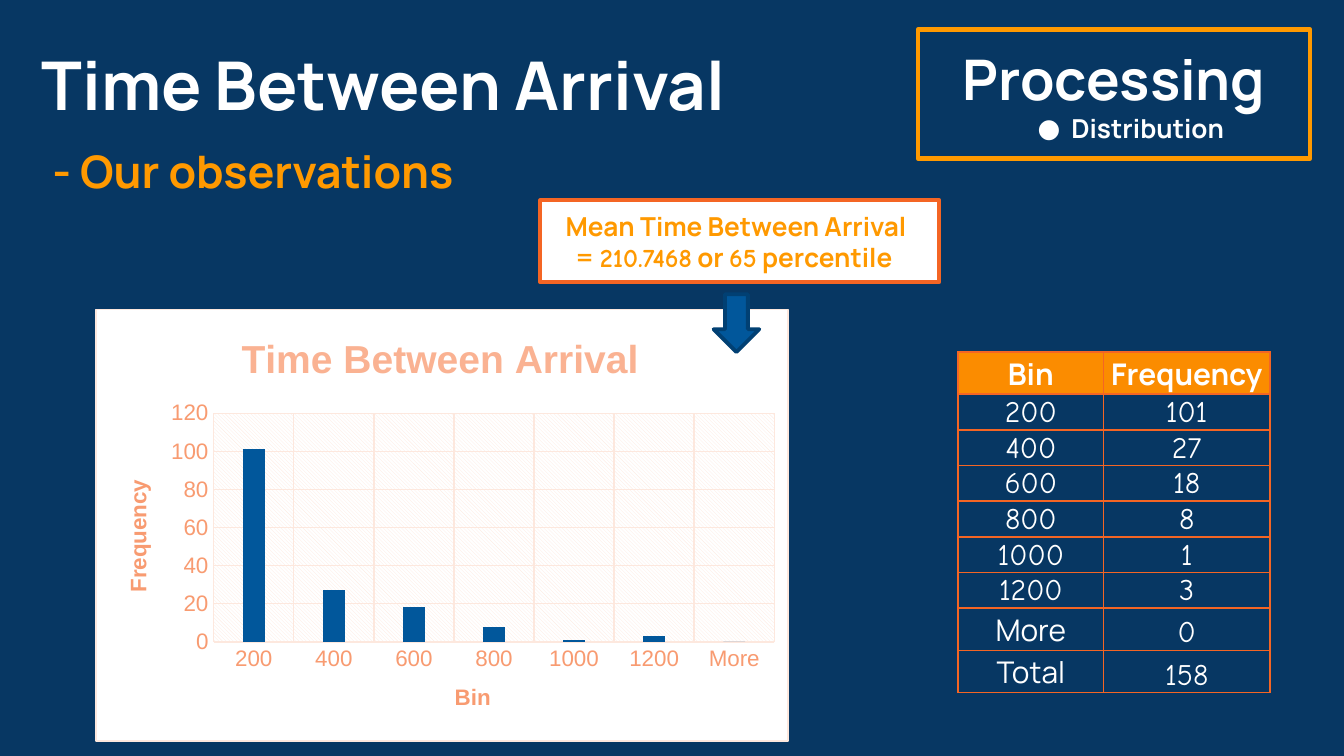
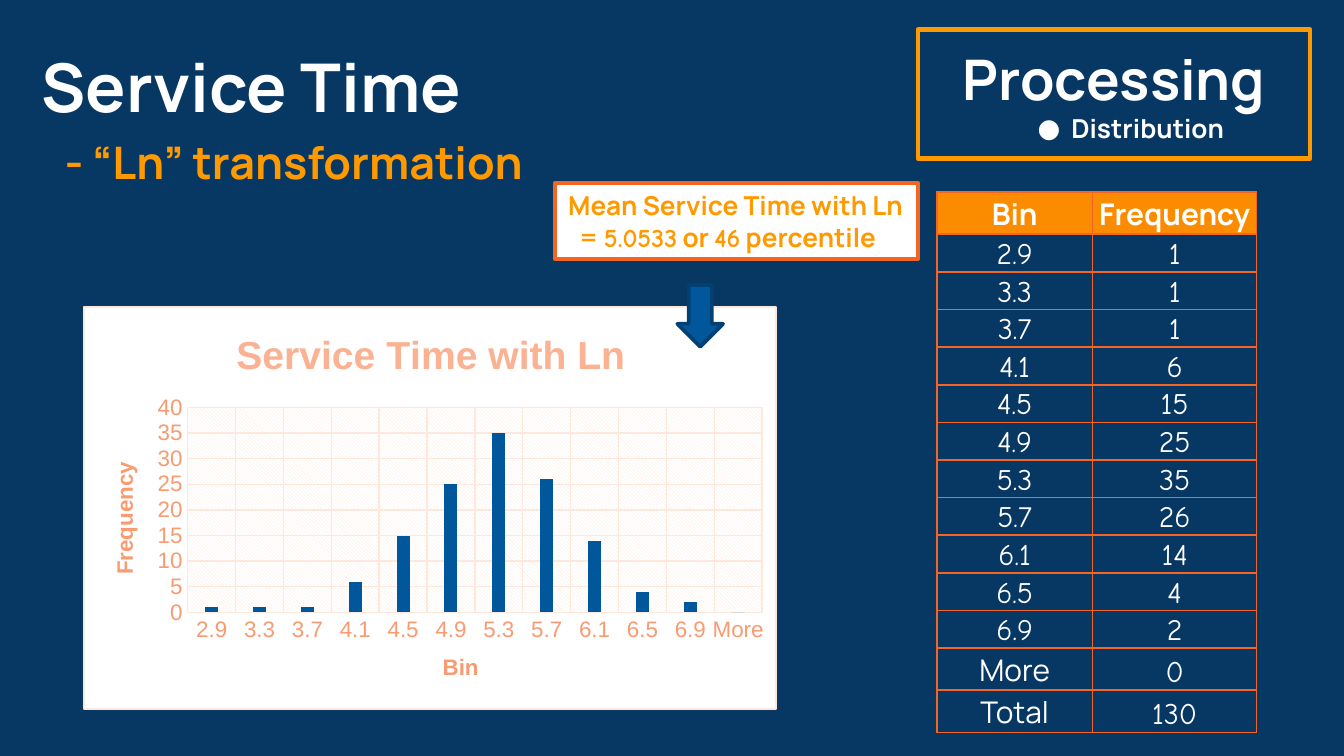
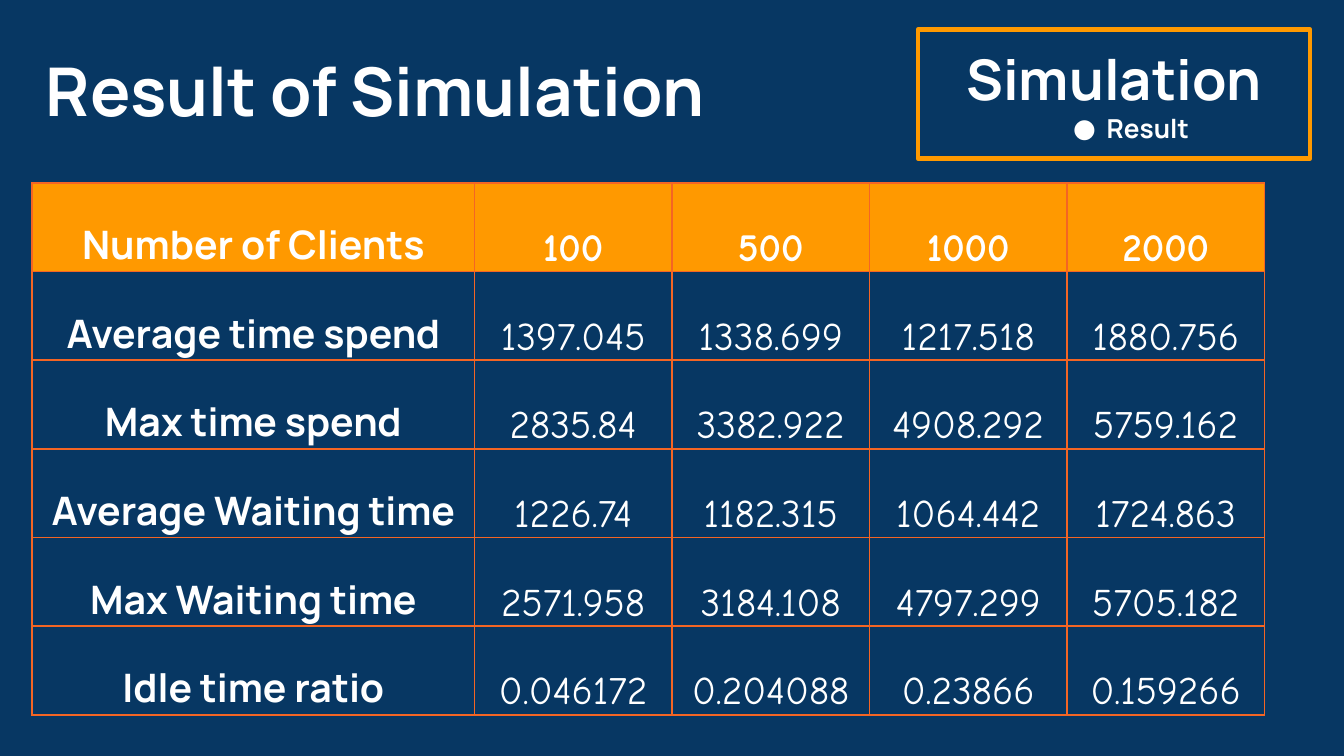
from dataclasses import dataclass

from pptx import Presentation
from pptx.chart.data import CategoryChartData
from pptx.dml.color import RGBColor
from pptx.enum.chart import XL_CHART_TYPE, XL_TICK_MARK
from pptx.enum.shapes import MSO_SHAPE
from pptx.enum.text import MSO_ANCHOR, MSO_AUTO_SIZE, PP_ALIGN
from pptx.oxml import parse_xml
from pptx.oxml.ns import nsdecls, qn
from pptx.util import Inches, Pt

COLUMNS = XL_CHART_TYPE.COLUMN_CLUSTERED
NO_TICKS = XL_TICK_MARK.NONE
RECTANGLE, DOWN_ARROW = MSO_SHAPE.RECTANGLE, MSO_SHAPE.DOWN_ARROW
TOP, MIDDLE, BOTTOM = MSO_ANCHOR.TOP, MSO_ANCHOR.MIDDLE, MSO_ANCHOR.BOTTOM
LEFT, CENTER = PP_ALIGN.LEFT, PP_ALIGN.CENTER
NO_AUTOFIT = MSO_AUTO_SIZE.NONE
TITLE_ONLY = 5


@dataclass(frozen=True)
class Theme:
    background: str = "073763"
    white: str = "FFFFFF"
    accent: str = "FF9900"
    table_header: str = "FB8C00"
    border: str = "F46524"
    column: str = "01579B"
    arrow_line: str = "014073"
    chart_title: str = "FAB292"
    chart_text: str = "F89B71"
    chart_line: str = "FDE8DE"
    text_font: str = "Manrope"
    number_font: str = "Comic Neue"
    chart_font: str = "Arial"
    title_size: int = 36
    badge_size: int = 30
    subtitle_size: int = 24
    results_size: int = 21
    bins_size: int = 16
    small_size: int = 14
    chart_title_size: int = 21
    axis_size: int = 12
    chart_size: int = 10


def color(value):
    return RGBColor.from_string(value)


def style_font(font, name, size, value, bold=True):
    font.name, font.size, font.bold = name, Pt(size), bold
    font.color.rgb = color(value)


def style_line(line, value, width):
    line.color.rgb = color(value)
    line.width = Pt(width)


def place_in_chart(parent, index, **fractions):
    """Give a chart part a manual layout, in fractions of the chart."""
    old = parent.find(qn("c:layout"))
    if old is not None:
        parent.remove(old)
    target = '<c:layoutTarget val="inner"/>' if "w" in fractions else ""
    values = "".join(f'<c:{key} val="{value}"/>' for key, value in fractions.items())
    parent.insert(index, parse_xml(
        f'<c:layout {nsdecls("c")}><c:manualLayout>{target}<c:xMode val="edge"/>'
        f'<c:yMode val="edge"/>{values}</c:manualLayout></c:layout>'))


def chart_properties(fill, line=""):
    return parse_xml(f'<c:spPr {nsdecls("c", "a")}>{fill}{line}</c:spPr>')


class Deck:
    def __init__(self, theme):
        self.theme = theme
        self.presentation = Presentation()
        self.presentation.slide_width = Inches(10)
        self.presentation.slide_height = Inches(10) * 9 // 16
        fill = self.presentation.slide_master.background.fill
        fill.solid()
        fill.fore_color.rgb = color(theme.background)
        self.slide = None

    def font_for(self, text):
        return self.theme.number_font if text[0].isdigit() else self.theme.text_font

    def start_slide(self, title, left, top):
        layout = self.presentation.slide_layouts[TITLE_ONLY]
        self.slide = self.presentation.slides.add_slide(layout)
        self.write_line(self.slide.shapes.title, title, (left, top, 6.51, 1.23),
                        self.theme.title_size, self.theme.white, MIDDLE)

    def write_line(self, shape, text, box, size, value, anchor, indent=0):
        shape.left, shape.top, shape.width, shape.height = map(Inches, box)
        frame = shape.text_frame
        frame.text = text
        frame.word_wrap, frame.auto_size = True, NO_AUTOFIT
        frame.vertical_anchor = anchor
        frame.margin_left = Inches(0.1 + indent)
        frame.margin_right = frame.margin_top = frame.margin_bottom = Inches(0.1)
        paragraph = frame.paragraphs[0]
        paragraph.alignment = LEFT
        style_font(paragraph.runs[0].font, self.theme.text_font, size, value)

    def add_subtitle(self, text, left, top):
        box = (left, top, 6.89, 0.52)
        shape = self.slide.shapes.add_textbox(*map(Inches, box))
        self.write_line(shape, text, box, self.theme.subtitle_size,
                        self.theme.accent, TOP, indent=0.08)

    def add_shape(self, kind, box, fill, line, width):
        shape = self.slide.shapes.add_shape(kind, *map(Inches, box))
        shape.shadow.inherit = False
        if fill:
            shape.fill.solid()
            shape.fill.fore_color.rgb = color(fill)
        else:
            shape.fill.background()
        style_line(shape.line, line, width)
        shape.text_frame.word_wrap = True
        shape.text_frame.vertical_anchor = MIDDLE
        return shape

    def add_badge(self, section, topic):
        theme = self.theme
        shape = self.add_shape(RECTANGLE, (6.83, 0.22, 2.92, 0.96), None, theme.accent, 2.25)
        frame = shape.text_frame
        frame.margin_top = frame.margin_bottom = Inches(0.1)
        frame.text = f"{section}\n{topic}"
        for paragraph, size in zip(frame.paragraphs, (theme.badge_size, theme.small_size)):
            paragraph.alignment = CENTER
            style_font(paragraph.runs[0].font, theme.text_font, size, theme.white)
        properties = frame.paragraphs[1]._p.get_or_add_pPr()
        properties.set("marL", str(Inches(0.5)))
        properties.set("indent", str(Inches(-0.25)))
        for bullet in (f'buClr {nsdecls("a")}><a:srgbClr val="{theme.white}"/></a:buClr>',
                       f'buFont {nsdecls("a")} typeface="{theme.text_font}"/>',
                       f'buChar {nsdecls("a")} char="●"/>'):
            properties.append(parse_xml(f"<a:{bullet}"))

    def add_callout(self, box, lines):
        """Each line is its left indent and its parts; numbers get their own font."""
        theme = self.theme
        frame = self.add_shape(RECTANGLE, box, theme.white, theme.border, 2).text_frame
        for position, (indent, parts) in enumerate(lines):
            paragraph = frame.add_paragraph() if position else frame.paragraphs[0]
            paragraph.alignment = LEFT
            paragraph._p.get_or_add_pPr().set("marL", str(Inches(indent)))
            for part in parts:
                run = paragraph.add_run()
                run.text = part
                style_font(run.font, self.font_for(part), theme.small_size, theme.accent)

    def add_arrow(self, left, top, height):
        self.add_shape(DOWN_ARROW, (left, top, 0.34, height),
                       self.theme.column, self.theme.arrow_line, 2)

    def style_axis(self, axis, title):
        theme = self.theme
        axis.axis_title.text_frame.text = title
        run = axis.axis_title.text_frame.paragraphs[0].runs[0]
        style_font(run.font, theme.chart_font, theme.axis_size, theme.chart_text)
        style_font(axis.tick_labels.font, theme.chart_font, theme.axis_size,
                   theme.chart_text, bold=False)
        axis.major_tick_mark = axis.minor_tick_mark = NO_TICKS
        axis.has_major_gridlines = True
        style_line(axis.major_gridlines.format.line, theme.chart_line, 0.75)

    def add_histogram(self, box, title, bins, maximum, unit, title_at, plot_at):
        theme = self.theme
        data = CategoryChartData()
        data.categories = list(bins)
        data.add_series("Series 1", list(bins.values()))
        chart = self.slide.shapes.add_chart(COLUMNS, *map(Inches, box), data).chart
        chart.has_legend = False
        style_font(chart.font, theme.chart_font, theme.chart_size, theme.border, bold=False)

        chart.has_title = True
        chart.chart_title.include_in_layout = False
        frame = chart.chart_title.text_frame
        frame.text = title
        style_font(frame.paragraphs[0].runs[0].font, theme.chart_font,
                   theme.chart_title_size, theme.chart_title)

        plot = chart.plots[0]
        plot.gap_width, plot.overlap = 267, -43
        plot.vary_by_categories = False
        fill = plot.series[0].format.fill
        fill.solid()
        fill.fore_color.rgb = color(theme.column)

        self.style_axis(chart.category_axis, "Bin")
        style_line(chart.category_axis.format.line, theme.chart_line, 0.75)
        value_axis = chart.value_axis
        self.style_axis(value_axis, "Frequency")
        value_axis.format.line.fill.background()
        value_axis.minimum_scale, value_axis.maximum_scale = 0, maximum
        value_axis.major_unit = unit

        chart_part = chart._chartSpace.find(qn("c:chart"))
        plot_area = chart_part.find(qn("c:plotArea"))
        place_in_chart(chart.chart_title._element, 1, **title_at)
        place_in_chart(plot_area, 0, **plot_at)
        white = f'<a:srgbClr val="{theme.white}"/>'
        pale = f'<a:srgbClr val="{theme.chart_line}"/>'
        plot_area.append(chart_properties(
            f'<a:pattFill prst="ltDnDiag"><a:fgClr>{pale}</a:fgClr>'
            f'<a:bgClr>{white}</a:bgClr></a:pattFill>'))
        chart_part.addnext(chart_properties(
            f'<a:solidFill>{white}</a:solidFill>',
            f'<a:ln w="{Pt(0.75)}"><a:solidFill>{pale}</a:solidFill></a:ln>'))

    def style_cell(self, cell, text, size, inset, bold, fill):
        properties = cell._tc.get_or_add_tcPr()
        for side in ("lnL", "lnR", "lnT", "lnB"):
            properties.append(parse_xml(
                f'<a:{side} {nsdecls("a")} w="{Pt(1)}"><a:solidFill>'
                f'<a:srgbClr val="{self.theme.border}"/></a:solidFill></a:{side}>'))
        if fill:
            cell.fill.solid()
            cell.fill.fore_color.rgb = color(fill)
        else:
            cell.fill.background()
        cell.margin_left = cell.margin_right = cell.margin_top = Inches(inset)
        cell.margin_bottom = 0
        cell.vertical_anchor = BOTTOM
        cell.text = text
        paragraph = cell.text_frame.paragraphs[0]
        paragraph.alignment = CENTER
        style_font(paragraph.runs[0].font, self.font_for(text), size, self.theme.white, bold)

    def add_table(self, left, top, widths, heights, rows, size, inset, header_fill,
                  bold_labels=False):
        shape = self.slide.shapes.add_table(
            len(rows), len(widths), Inches(left), Inches(top),
            Inches(sum(widths)), Inches(sum(heights)))
        table = shape.table
        table.first_row = table.horz_banding = False
        for column, width in zip(table.columns, widths):
            column.width = Inches(width)
        for row_index, (row, height) in enumerate(zip(rows, heights)):
            table.rows[row_index].height = Inches(height)
            header = row_index == 0
            for column_index, text in enumerate(row):
                self.style_cell(table.cell(row_index, column_index), text, size, inset,
                                header or (bold_labels and column_index == 0),
                                header_fill if header else None)

    def add_bin_table(self, left, top, widths, number_height, bins):
        """Table of the bins and their total; rows with a word label are taller."""
        rows = [("Bin", "Frequency"), *bins.items(), ("Total", sum(bins.values()))]
        rows = [(label, str(count)) for label, count in rows]
        heights = [number_height if label[0].isdigit() else 0.31 for label, _ in rows]
        self.add_table(left, top, widths, heights, rows, self.theme.bins_size, 0.01,
                       self.theme.table_header)


ARRIVAL_BINS = {"200": 101, "400": 27, "600": 18, "800": 8, "1000": 1, "1200": 3, "More": 0}
SERVICE_BINS = {"2.9": 1, "3.3": 1, "3.7": 1, "4.1": 6, "4.5": 15, "4.9": 25,
                "5.3": 35, "5.7": 26, "6.1": 14, "6.5": 4, "6.9": 2, "More": 0}
RESULTS = [
    ("Number of Clients", "100", "500", "1000", "2000"),
    ("Average time spend", "1397.045", "1338.699", "1217.518", "1880.756"),
    ("Max time spend", "2835.84", "3382.922", "4908.292", "5759.162"),
    ("Average Waiting time", "1226.74", "1182.315", "1064.442", "1724.863"),
    ("Max Waiting time", "2571.958", "3184.108", "4797.299", "5705.182"),
    ("Idle time ratio", "0.046172", "0.204088", "0.23866", "0.159266"),
]


def add_arrival_slide(deck):
    deck.start_slide("Time Between Arrival", 0.21, 0.01)
    deck.add_subtitle("- Our observations", 0.21, 0.97)
    deck.add_badge("Processing", "Distribution")
    deck.add_histogram((0.71, 2.3, 5.16, 3.22), "Time Between Arrival", ARRIVAL_BINS, 120, 20,
                       title_at=dict(x=0.2, y=0.04),
                       plot_at=dict(x=0.17, y=0.24, w=0.81, h=0.53))
    deck.add_bin_table(7.13, 2.62, (1.08, 1.24), 0.26, ARRIVAL_BINS)
    deck.add_callout((4.02, 1.49, 2.97, 0.61), [
        (0.09, ["Mean Time Between Arrival"]),
        (0.16, ["= ", "210.7468", " or ", "65", " percentile"])])
    deck.add_arrow(5.31, 2.19, 0.43)


def add_service_slide(deck):
    deck.start_slide("Service Time", 0.21, 0.02)
    deck.add_subtitle("- “Ln” transformation", 0.3, 0.9)
    deck.add_badge("Processing", "Distribution")
    deck.add_histogram((0.62, 2.28, 5.16, 3), "Service Time with Ln", SERVICE_BINS, 40, 5,
                       title_at=dict(x=0.21, y=0.04),
                       plot_at=dict(x=0.15, y=0.25, w=0.83, h=0.51))
    deck.add_bin_table(6.97, 1.43, (1.16, 1.22), 0.28, SERVICE_BINS)
    deck.add_callout((4.13, 1.36, 2.7, 0.57), [
        (0, ["Mean Service Time with Ln"]),
        (0.08, ["= ", "5.0533", " or ", "46", " percentile"])])
    deck.add_arrow(5.04, 2.12, 0.46)


def add_results_slide(deck):
    deck.start_slide("Result of Simulation", 0.24, 0.05)
    deck.add_badge("Simulation", "Result")
    deck.add_table(0.24, 1.36, [3.29] + [1.47] * 4, [0.66] * len(RESULTS), RESULTS,
                   deck.theme.results_size, 0.02, deck.theme.accent, bold_labels=True)


def main():
    deck = Deck(Theme())
    add_arrival_slide(deck)
    add_service_slide(deck)
    add_results_slide(deck)
    deck.presentation.save("out.pptx")


if __name__ == "__main__":
    main()
